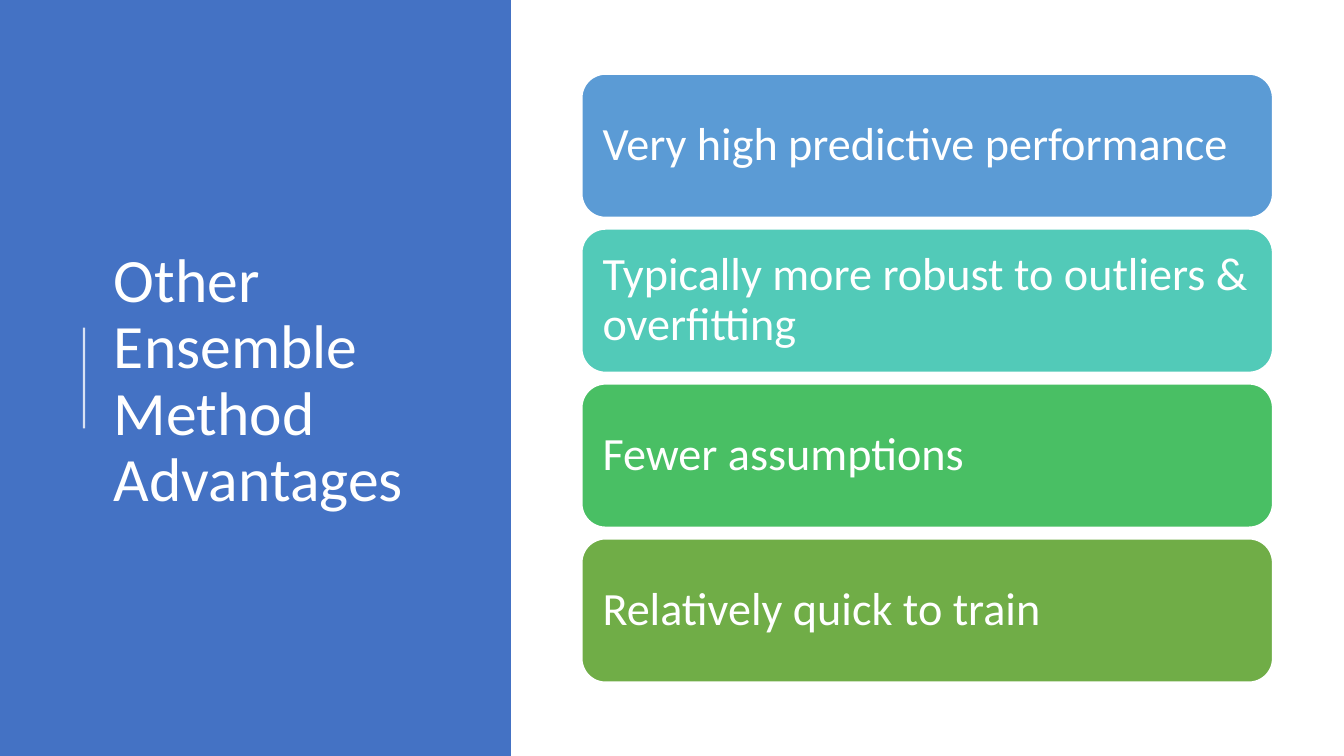
from dataclasses import dataclass

from lxml import etree
from pptx import Presentation
from pptx.dml.color import RGBColor
from pptx.enum import shapes, text
from pptx.oxml import ns
from pptx.util import Pt

WHITE = RGBColor(0xFF, 0xFF, 0xFF)
NAVY = RGBColor(0x44, 0x72, 0xC4)
BLUE = RGBColor(0x5B, 0x9B, 0xD5)
TEAL = RGBColor(0x52, 0xCA, 0xB8)
GREEN = RGBColor(0x49, 0xBF, 0x64)
OLIVE = RGBColor(0x70, 0xAD, 0x47)

WIDE, HIGH = 960, 540
LEFT, TOP, WIDTH, HEIGHT, PITCH = 415.4, 52.7, 493.9, 102.9, 110.65


@dataclass(frozen=True)
class Card:
    words: str
    fill: RGBColor


CARDS = [
    Card("Very high predictive performance", BLUE),
    Card("Typically more robust to outliers & overfitting", TEAL),
    Card("Fewer assumptions", GREEN),
    Card("Relatively quick to train", OLIVE),
]


def apply(item, form: dict) -> None:
    for key, value in form.items():
        setattr(item, key, value)


def write(shape, words: str, size: float, inset: dict) -> None:
    frame = shape.text_frame
    frame.text = words
    apply(frame, {
        "word_wrap": True,
        "auto_size": text.MSO_AUTO_SIZE.NONE,
        "vertical_anchor": text.MSO_ANCHOR.MIDDLE,
        **inset,
    })
    para = frame.paragraphs[0]
    apply(para, {"alignment": text.PP_ALIGN.LEFT, "line_spacing": 0.9})
    apply(para.font, {"name": "Calibri", "size": Pt(size)})
    para.font.color.rgb = WHITE


def add_panel(slide):
    panel = slide.shapes.add_shape(
        shapes.MSO_SHAPE.RECTANGLE, 0, 0, Pt(365), Pt(HIGH))
    panel.shadow.inherit = False
    panel.fill.solid()
    panel.fill.fore_color.rgb = NAVY
    panel.line.fill.background()
    return panel


def add_title(slide, panel) -> None:
    title = slide.shapes.title
    apply(title, {"left": Pt(74.2), "top": Pt(56.2),
                  "width": Pt(265.7), "height": Pt(433.4)})
    write(title, "Other Ensemble Method Advantages", 44, {})
    panel.element.addnext(title.element)


def add_rule(slide) -> None:
    rule = slide.shapes.add_connector(
        shapes.MSO_CONNECTOR.STRAIGHT, Pt(60), Pt(306), Pt(60), Pt(234))
    rule.line.width = Pt(1.5)
    rule.line.color.rgb = WHITE
    props = rule.element.spPr
    color = props.find(".//" + ns.qn("a:srgbClr"))
    etree.SubElement(color, ns.qn("a:alpha"), val="80000")
    etree.SubElement(props, ns.qn("a:effectLst"))


def add_card(slide, card: Card, row: int) -> None:
    box = slide.shapes.add_shape(
        shapes.MSO_SHAPE.ROUNDED_RECTANGLE,
        Pt(LEFT), Pt(TOP + row * PITCH), Pt(WIDTH), Pt(HEIGHT))
    box.shadow.inherit = False
    box.fill.solid()
    box.fill.fore_color.rgb = card.fill
    box.line.color.rgb = WHITE
    box.line.width = Pt(1.5)
    sides = ("left", "top", "right", "bottom")
    write(box, card.words, 33, {f"margin_{side}": Pt(10) for side in sides})


def main() -> None:
    deck = Presentation()
    apply(deck, {"slide_width": Pt(WIDE), "slide_height": Pt(HIGH)})
    slide = deck.slides.add_slide(deck.slide_layouts.get_by_name("Title Only"))
    panel = add_panel(slide)
    add_title(slide, panel)
    add_rule(slide)
    for row, card in enumerate(CARDS):
        add_card(slide, card, row)
    deck.save("out.pptx")


if __name__ == "__main__":
    main()
